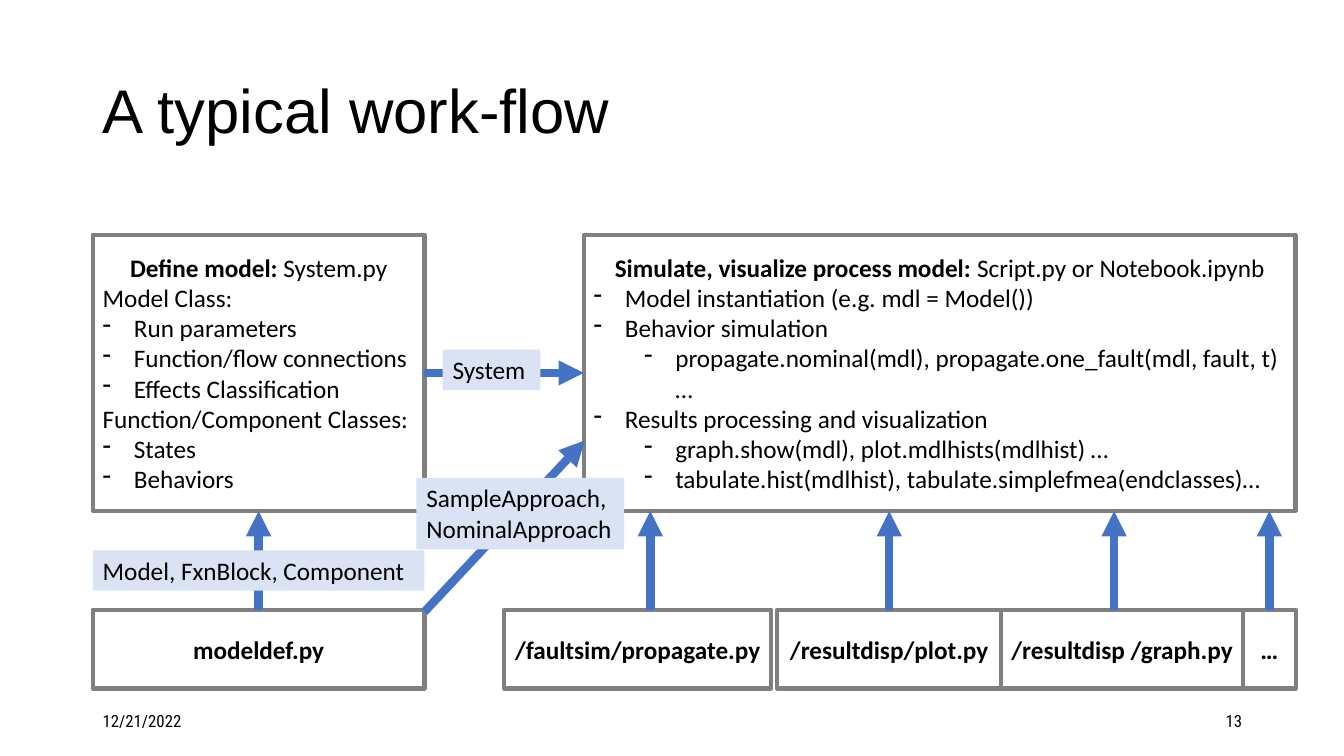
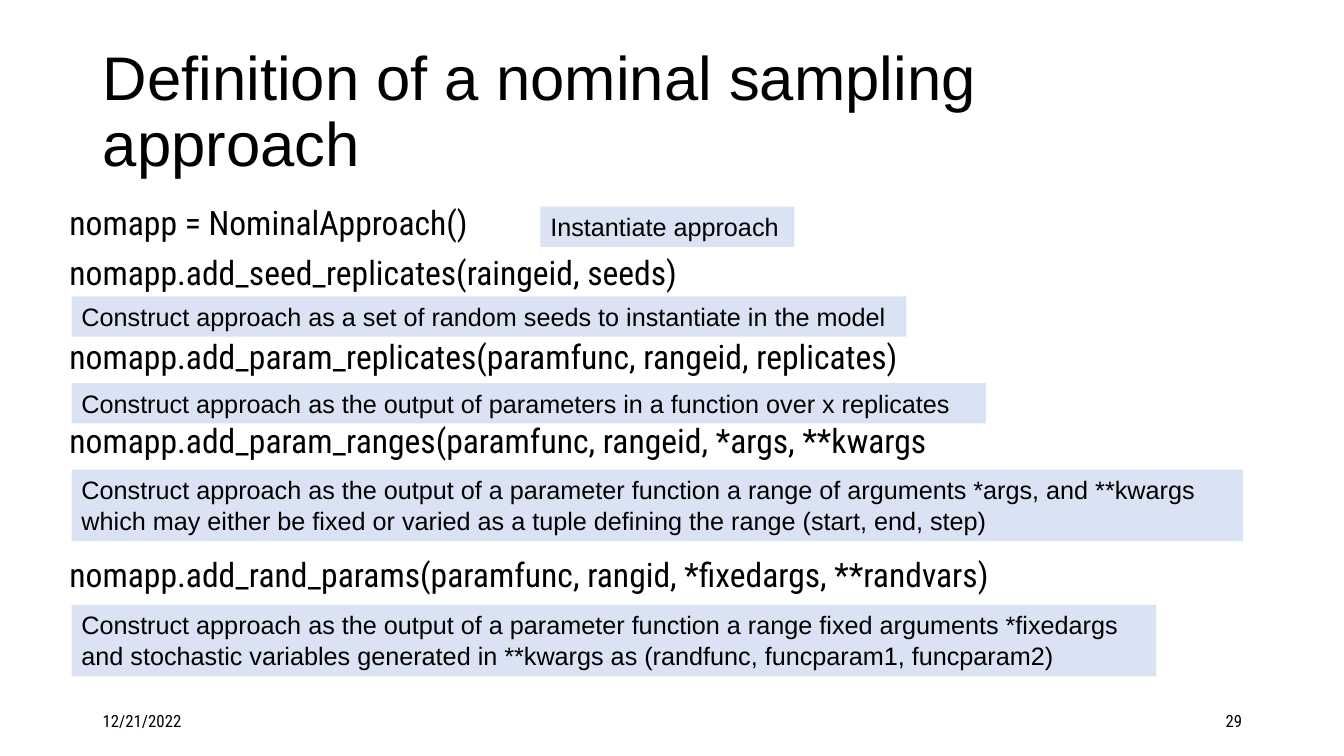
from dataclasses import dataclass

from lxml.etree import SubElement
from pptx import Presentation
from pptx.dml.color import RGBColor
from pptx.enum.shapes import MSO_CONNECTOR, MSO_SHAPE
from pptx.enum.text import MSO_ANCHOR, MSO_AUTO_SIZE, PP_ALIGN
from pptx.oxml.ns import qn
from pptx.util import Pt

PX = 9144  # 100 px to the inch
COLORS = {"text": "000000", "box": "FFFFFF", "border": "808080",
          "arrow": "4472C4", "label": "DAE3F3"}
HEADING_FONT, DIAGRAM_FONT, CODE_FONT = "Arial", "Calibri", "Roboto Condensed"
TOP, LEFT, BOTTOM, RIGHT = range(4)
DATE = "12/21/2022"
BULLET_HANG = 31
BULLET_STEP = 50


@dataclass
class Line:
    """One paragraph; lead is a bold start, level a bullet depth."""
    text: str
    lead: str = ""
    level: int | None = None
    align: PP_ALIGN | None = None
    space_before: int = 0


def rgb(name):
    return RGBColor.from_string(COLORS[name])


def px(*lengths):
    return [length * PX for length in lengths]


def add_bullet(paragraph, level):
    properties = paragraph._p.get_or_add_pPr()
    properties.set("marL", str((BULLET_HANG + level * BULLET_STEP) * PX))
    properties.set("indent", str(-BULLET_HANG * PX))
    SubElement(properties, qn("a:buChar")).set("char", "-")


def write_text(shape, lines, font=DIAGRAM_FONT, size=18, bold=False,
               align=PP_ALIGN.LEFT, anchor=MSO_ANCHOR.TOP, spacing=None):
    """Fill a shape with lines, each a string or a Line."""
    frame = shape.text_frame
    frame.word_wrap = True
    frame.auto_size = MSO_AUTO_SIZE.NONE
    frame.vertical_anchor = anchor
    for index, line in enumerate(lines):
        if isinstance(line, str):
            line = Line(line)
        paragraph = frame.add_paragraph() if index else frame.paragraphs[0]
        paragraph.alignment = line.align or align
        paragraph.space_before = Pt(line.space_before)
        if spacing:
            paragraph.line_spacing = spacing
        if line.level is not None:
            add_bullet(paragraph, line.level)
        for text, is_bold in ((line.lead, True), (line.text, bold)):
            if text:
                run = paragraph.add_run()
                run.text = text
                run.font.name = font
                run.font.size = Pt(size)
                run.font.bold = is_bold
                run.font.color.rgb = rgb("text")


def add_text(slide, bounds, lines, **text_format):
    write_text(slide.shapes.add_textbox(*px(*bounds)), lines, **text_format)


def add_filled(slide, kind, bounds, fill):
    shape = slide.shapes.add_shape(kind, *px(*bounds))
    shape.shadow.inherit = False
    shape.fill.solid()
    shape.fill.fore_color.rgb = rgb(fill)
    return shape


def add_box(slide, bounds, lines, **text_format):
    box = add_filled(slide, MSO_SHAPE.FLOWCHART_PROCESS, bounds, "box")
    box.line.color.rgb = rgb("border")
    box.line.width = Pt(3)
    write_text(box, lines, anchor=MSO_ANCHOR.MIDDLE, **text_format)
    return box


def add_label(slide, bounds, lines, **text_format):
    label = add_filled(slide, MSO_SHAPE.RECTANGLE, bounds, "label")
    label.line.fill.background()
    write_text(label, lines, **text_format)


def add_arrow(slide, start, end, begin=None, finish=None):
    """Draw an arrow; begin and finish are (shape, side) pairs to join."""
    arrow = slide.shapes.add_connector(
        MSO_CONNECTOR.STRAIGHT, *px(*start, *end))
    if begin:
        arrow.begin_connect(*begin)
    if finish:
        arrow.end_connect(*finish)
    arrow.line.color.rgb = rgb("arrow")
    arrow.line.width = Pt(6)
    properties = arrow._element.spPr
    SubElement(properties.find(qn("a:ln")), qn("a:tailEnd")).set("type", "triangle")
    SubElement(properties, qn("a:effectLst"))


def add_slide(presentation, title, number):
    slide = presentation.slides.add_slide(presentation.slide_layouts[5])
    heading = slide.shapes.title
    heading.left, heading.top, heading.width, heading.height = px(92, 40, 1150, 145)
    write_text(heading, [title], font=HEADING_FONT, size=44,
               anchor=MSO_ANCHOR.MIDDLE, spacing=0.9)
    for left, text, align in ((92, DATE, PP_ALIGN.LEFT),
                              (942, str(number), PP_ALIGN.RIGHT)):
        add_text(slide, (left, 695, 300, 40), [text], font=CODE_FONT, size=12,
                 align=align, anchor=MSO_ANCHOR.MIDDLE)
    return slide


def build_workflow(presentation):
    slide = add_slide(presentation, "A typical work-flow", 13)
    center = PP_ALIGN.CENTER
    define = add_box(slide, (92, 233, 329, 274), [
        Line("System.py", lead="Define model: ", align=center),
        "Model Class:",
        Line("Run parameters", level=0),
        Line("Function/flow connections", level=0),
        Line("Effects Classification", level=0),
        "Function/Component Classes:",
        Line("States", level=0),
        Line("Behaviors", level=0),
    ])
    simulate = add_box(slide, (579, 233, 706, 274), [
        Line("Script.py or Notebook.ipynb",
             lead="Simulate, visualize process model: ", align=center),
        Line("Model instantiation (e.g. mdl = Model())", level=0),
        Line("Behavior simulation", level=0),
        Line("propagate.nominal(mdl), propagate.one_fault(mdl, fault, t) …", level=1),
        Line("Results processing and visualization", level=0),
        Line("graph.show(mdl), plot.mdlhists(mdlhist) …", level=1),
        Line("tabulate.hist(mdlhist), tabulate.simplefmea(endclasses)…", level=1),
    ])
    modeldef, propagate, plot, graph, more = [
        add_box(slide, (left, 605, width, 78), [name], bold=True, align=center)
        for left, width, name in (
            (92, 329, "modeldef.py"),
            (500, 265, "/faultsim/propagate.py"),
            (771, 222, "/resultdisp/plot.py"),
            (993, 240, "/resultdisp /graph.py"),
            (1233, 52, "…"))]

    add_arrow(slide, (256, 605), (256, 507), (modeldef, TOP), (define, BOTTOM))
    add_arrow(slide, (421, 370), (579, 370), (define, RIGHT), (simulate, LEFT))
    add_arrow(slide, (421, 607), (580, 437))
    for x, begin in ((645, None), (882, (plot, TOP)),
                     (1105, None), (1259, (more, TOP))):
        add_arrow(slide, (x, 605), (x, 507), begin)

    add_label(slide, (92, 546, 329, 40), ["Model, FxnBlock, Component"])
    add_label(slide, (439, 347, 97, 40), ["System"])
    add_label(slide, (413, 474, 206, 71), ["SampleApproach,", "NominalApproach"])


def build_sampling(presentation):
    slide = add_slide(presentation, "Definition of a nominal sampling approach", 29)
    add_text(slide, (59, 200, 1182, 476), [
        Line("nomapp = NominalApproach()", space_before=10),
        Line("nomapp.add_seed_replicates(raingeid, seeds)", space_before=10),
        Line("nomapp.add_param_replicates(paramfunc, rangeid, replicates)",
             space_before=34),
        Line("nomapp.add_param_ranges(paramfunc, rangeid, *args, **kwargs",
             space_before=34),
        Line("nomapp.add_rand_params(paramfunc, rangid, *fixedargs, **randvars)",
             space_before=70),
    ], font=CODE_FONT, size=24, spacing=0.9)
    for bounds, lines in (
        ((536, 205, 252, 40), ["Instantiate approach"]),
        ((71, 294, 828, 40),
         ["Construct approach as a set of random seeds to instantiate in the model"]),
        ((71, 380, 907, 40),
         ["Construct approach as the output of parameters in a function over x replicates"]),
        ((71, 466, 1162, 71),
         ["Construct approach as the output of a parameter function a range of "
          "arguments *args, and **kwargs",
          "which may either be fixed or varied as a tuple defining the range "
          "(start, end, step)"]),
        ((71, 600, 1076, 71),
         ["Construct approach as the output of a parameter function a range fixed "
          "arguments *fixedargs",
          "and stochastic variables generated in **kwargs as "
          "(randfunc, funcparam1, funcparam2)"]),
    ):
        add_label(slide, bounds, lines, font=HEADING_FONT)


def main():
    presentation = Presentation()
    presentation.slide_width, presentation.slide_height = px(1333, 750)
    build_workflow(presentation)
    build_sampling(presentation)
    presentation.save("out.pptx")


if __name__ == "__main__":
    main()
